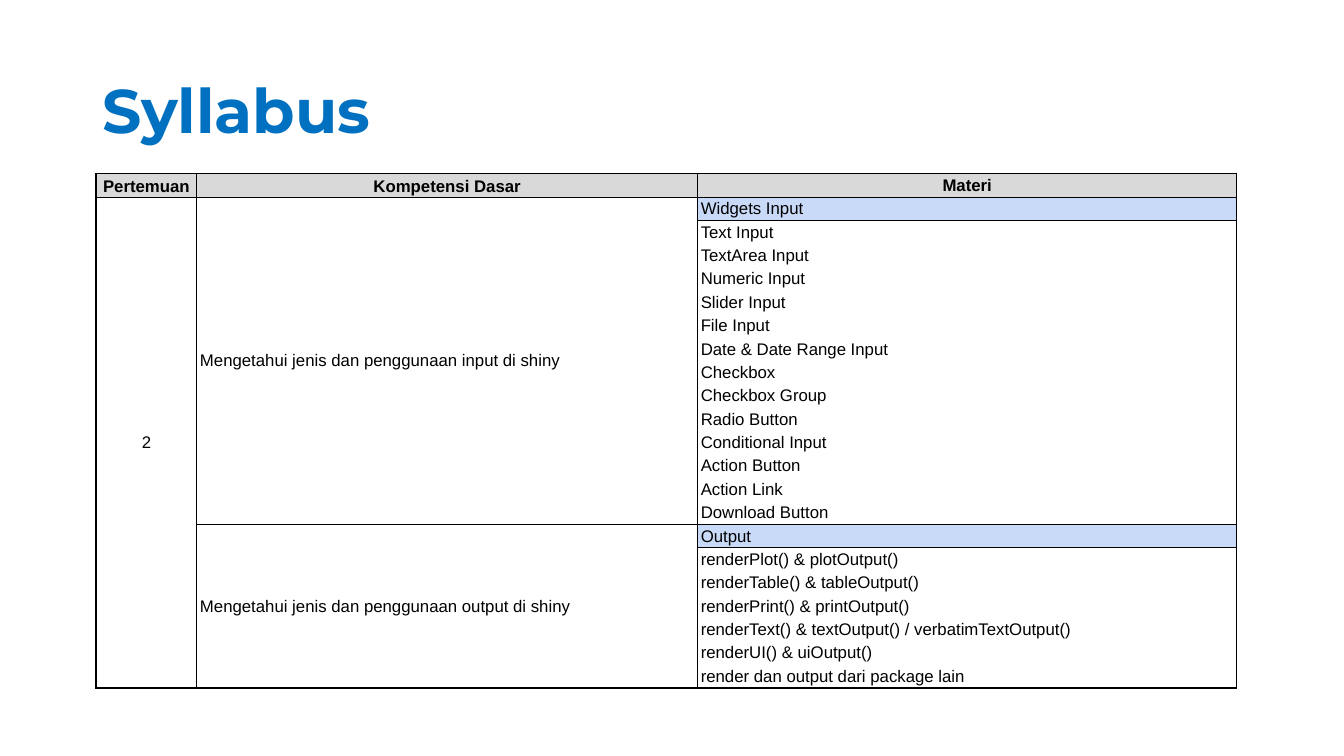
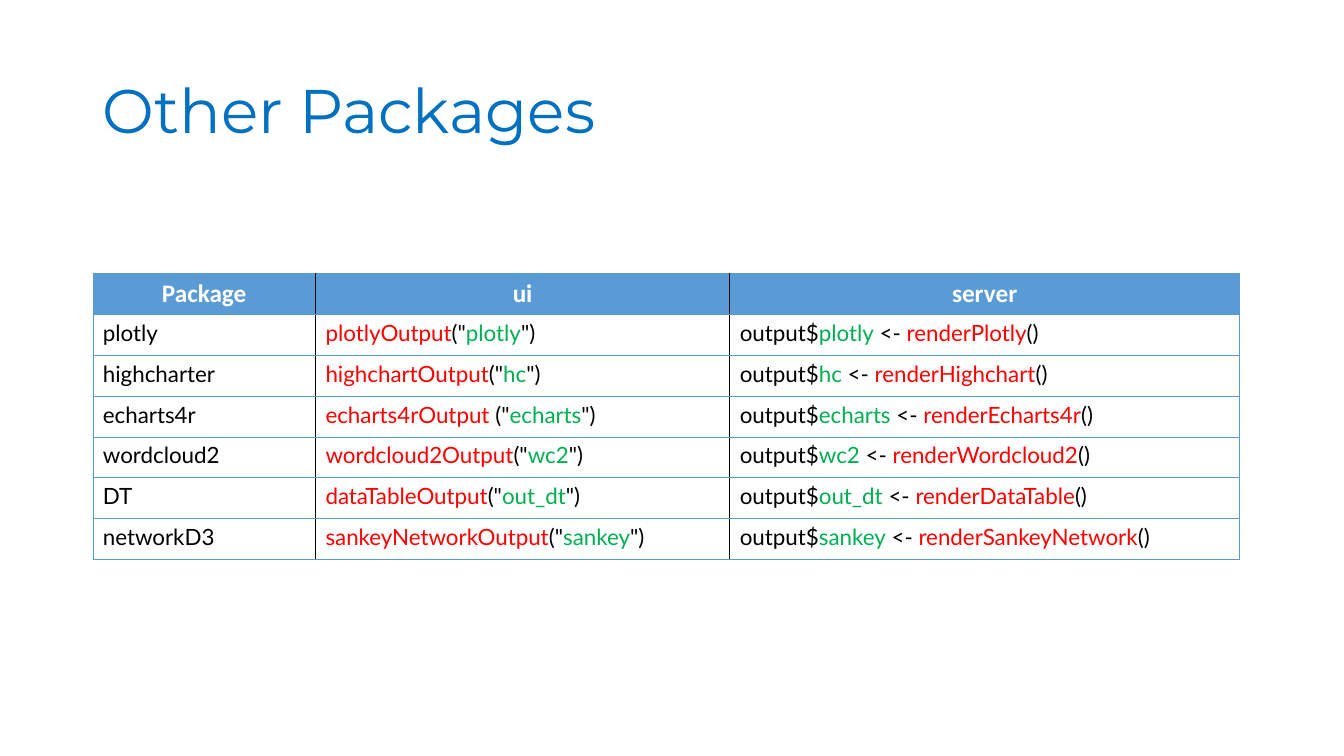
import lxml.etree
import pptx
import pptx.dml.color
import pptx.enum.text
import pptx.oxml.ns
import pptx.util

Cm = pptx.util.Cm
Pt = pptx.util.Pt
Align = pptx.enum.text.PP_ALIGN
Anchor = pptx.enum.text.MSO_ANCHOR
qn = pptx.oxml.ns.qn

theme = {
    "color": {
        "title": "0070C0", "ink": "000000", "white": "FFFFFF", "gray": "D9D9D9",
        "pale": "C9DAF8", "blue": "5B9BD5", "call": "FF0000", "name": "00B050",
    },
    "font": {
        "title": {"name": "Montserrat", "size": Pt(44), "bold": False},
        "strong": {"name": "Montserrat", "size": Pt(44), "bold": True},
        "topic": {"name": "Arial", "size": Pt(12), "bold": False},
        "label": {"name": "Arial", "size": Pt(12), "bold": True},
        "code": {"name": "Lato", "size": Pt(16), "bold": False},
        "head": {"name": "Calibri", "size": Pt(18), "bold": True},
    },
    "plain": "{2D5ABB26-0587-4C30-8999-92F81FD0307C}",
}


def write(frame, runs, font, align=Align.LEFT):
    """Fill the first paragraph with (text, color) runs."""
    par = frame.paragraphs[0]
    par.alignment = align
    for text, color in runs:
        run = par.add_run()
        run.text = text
        for key, val in theme["font"][font].items():
            setattr(run.font, key, val)
        run.font.color.rgb = pptx.dml.color.RGBColor.from_string(theme["color"][color])
    return par


def dress(cell, fill, lines):
    """Set the fill and the borders, given as side: (color, points) or None."""
    if fill:
        cell.fill.solid()
        cell.fill.fore_color.rgb = pptx.dml.color.RGBColor.from_string(theme["color"][fill])
    else:
        cell.fill.background()
    props = cell._tc.get_or_add_tcPr()
    for spot, side in enumerate("LRTB"):
        edge = lxml.etree.Element(qn("a:ln" + side))
        if lines[side]:
            color, width = lines[side]
            edge.set("w", str(Pt(width)))
            solid = lxml.etree.SubElement(edge, qn("a:solidFill"))
            lxml.etree.SubElement(solid, qn("a:srgbClr"), val=theme["color"][color])
        else:
            lxml.etree.SubElement(edge, qn("a:noFill"))
        props.insert(spot, edge)


deck = pptx.Presentation()
deck.slide_width, deck.slide_height = Cm(33.87), Cm(19.05)

# Content
inputs = [
    "Widgets Input", "Text Input", "TextArea Input", "Numeric Input", "Slider Input",
    "File Input", "Date & Date Range Input", "Checkbox", "Checkbox Group",
    "Radio Button", "Conditional Input", "Action Button", "Action Link",
    "Download Button",
]
outputs = [
    "Output", "renderPlot() & plotOutput()", "renderTable() & tableOutput()",
    "renderPrint() & printOutput()",
    "renderText() & textOutput() / verbatimTextOutput()",
    "renderUI() & uiOutput()", "render dan output dari package lain",
]
kits = [
    ("plotly", "plotlyOutput", "plotly", "renderPlotly"),
    ("highcharter", "highchartOutput", "hc", "renderHighchart"),
    ("echarts4r", "echarts4rOutput ", "echarts", "renderEcharts4r"),
    ("wordcloud2", "wordcloud2Output", "wc2", "renderWordcloud2"),
    ("DT", "dataTableOutput", "out_dt", "renderDataTable"),
    ("networkD3", "sankeyNetworkOutput", "sankey", "renderSankeyNetwork"),
]
split = 1 + len(inputs)
end = split + len(outputs)

# Slides with title and empty table
pages = [
    ("Syllabus", "strong", 2.42, 4.38, (2.54, 12.62, 13.59), end, 0.58),
    ("Other Packages", "title", 2.34, 6.89, (5.61, 10.44, 12.85), 1 + len(kits), 1.03),
]
tables = []
for title, font, left, top, widths, count, high in pages:
    slide = deck.slides.add_slide(deck.slide_layouts[6])
    box = slide.shapes.add_textbox(Cm(2.33), Cm(1.02), Cm(29.21), Cm(3.68))
    box.text_frame.word_wrap = True
    box.text_frame.vertical_anchor = Anchor.MIDDLE
    write(box.text_frame, [(title, "title")], font).line_spacing = 0.9

    shape = slide.shapes.add_table(
        count, len(widths), Cm(left), Cm(top), Cm(sum(widths)), Cm(count * high))
    table = shape.table
    table.first_row = table.horz_banding = False
    for style in table._tbl.iter(qn("a:tableStyleId")):
        style.text = theme["plain"]
    for col, width in zip(table.columns, widths):
        col.width = Cm(width)
    for row in table.rows:
        row.height = Cm(high)
    tables.append(table)
plan, code = tables

# Syllabus: merged areas and texts
for first, last, col in [(1, end - 1, 0), (1, split - 1, 1), (split, end - 1, 1)]:
    plan.cell(first, col).merge(plan.cell(last, col))
texts = {
    (0, 0): "Pertemuan", (0, 1): "Kompetensi Dasar", (0, 2): "Materi", (1, 0): "2",
    (1, 1): "Mengetahui jenis dan penggunaan input di shiny",
    (split, 1): "Mengetahui jenis dan penggunaan output di shiny",
}
for row, topic in enumerate(inputs + outputs, 1):
    texts[row, 2] = topic

# Syllabus: rows that start below a line, by column
rules = [{0, 1, end}, {0, 1, split, end}, {0, 1, 2, split, split + 1, end}]
pad = {"margin_left": Cm(0.08), "margin_right": Cm(0.08),
       "margin_top": Cm(0.04), "margin_bottom": Cm(0.04)}
for row in range(end):
    for col, rule in enumerate(rules):
        cell = plan.cell(row, col)
        for key, val in pad.items():
            setattr(cell, key, val)
        cell.vertical_anchor = Anchor.BOTTOM if row == 0 and col < 2 else Anchor.MIDDLE
        line = ("ink", 1)
        below = row + cell.span_height
        fill = "gray" if row == 0 else "pale" if col == 2 and row in (1, split) else None
        dress(cell, fill, {"L": line, "R": line, "T": line if row in rule else None,
                           "B": line if below in rule else None})
        if (row, col) in texts:
            write(cell.text_frame, [(texts[row, col], "ink")],
                  "label" if row == 0 else "topic",
                  Align.CENTER if row == 0 or col == 0 else Align.LEFT)

# Packages: heads, then one row of colored code for each package
lines = [[[(word, "white")] for word in ("Package", "ui", "server")]]
for kit, out, key, render in kits:
    lines.append([
        [(kit, "ink")],
        [(out, "call"), ('("', "ink"), (key, "name"), ('")', "ink")],
        [("output$", "ink"), (key, "name"), (" <- ", "ink"),
         (render, "call"), ("()", "ink")],
    ])
thin, inner = ("blue", 0.5), ("ink", 1)
for row, parts in enumerate(lines):
    for col, runs in enumerate(parts):
        cell = code.cell(row, col)
        dress(cell, "blue" if row == 0 else None,
              {"L": inner if col else thin, "R": inner if col < 2 else thin,
               "T": thin, "B": thin})
        write(cell.text_frame, runs, "code" if row else "head",
              Align.LEFT if row else Align.CENTER)

deck.save("out.pptx")
